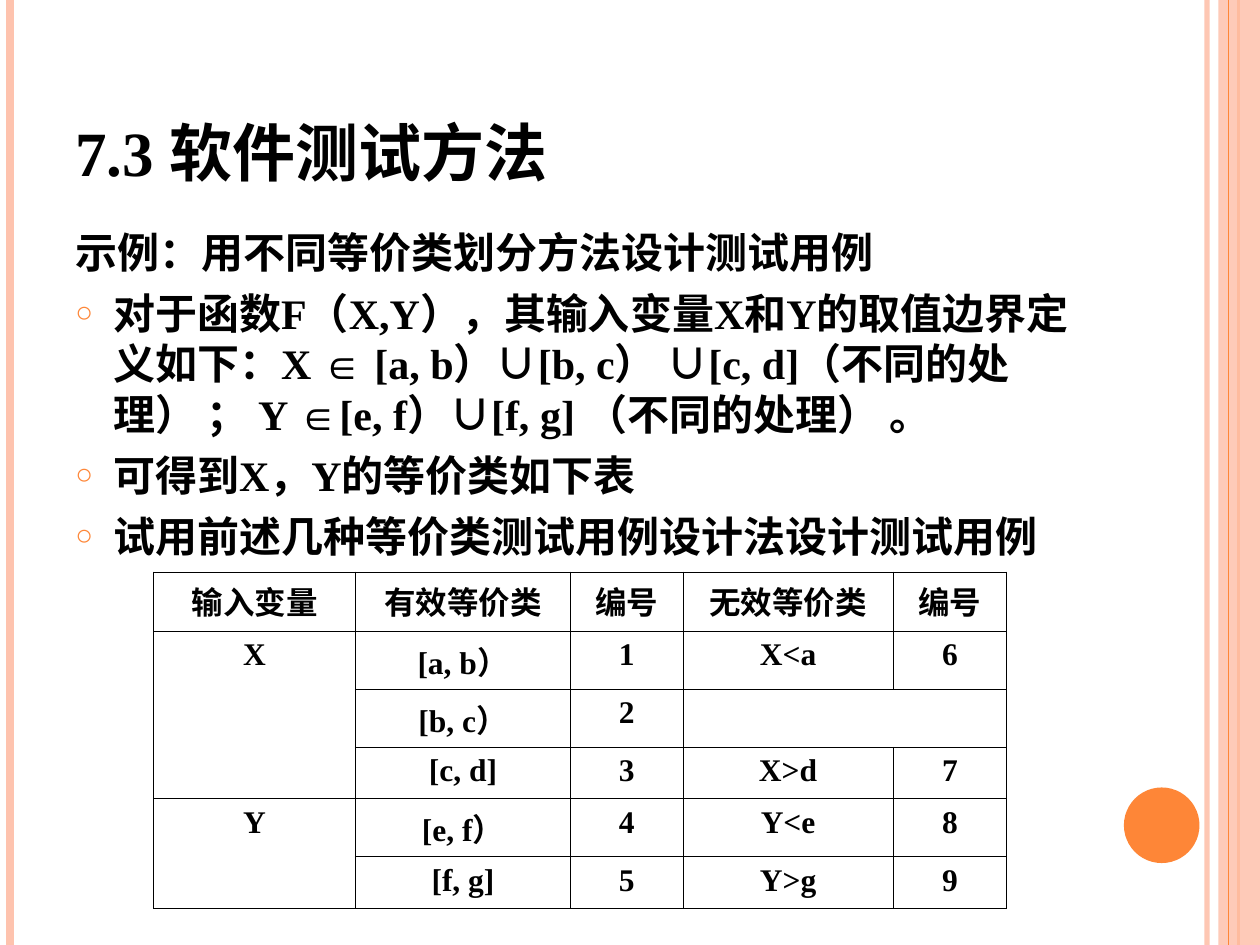
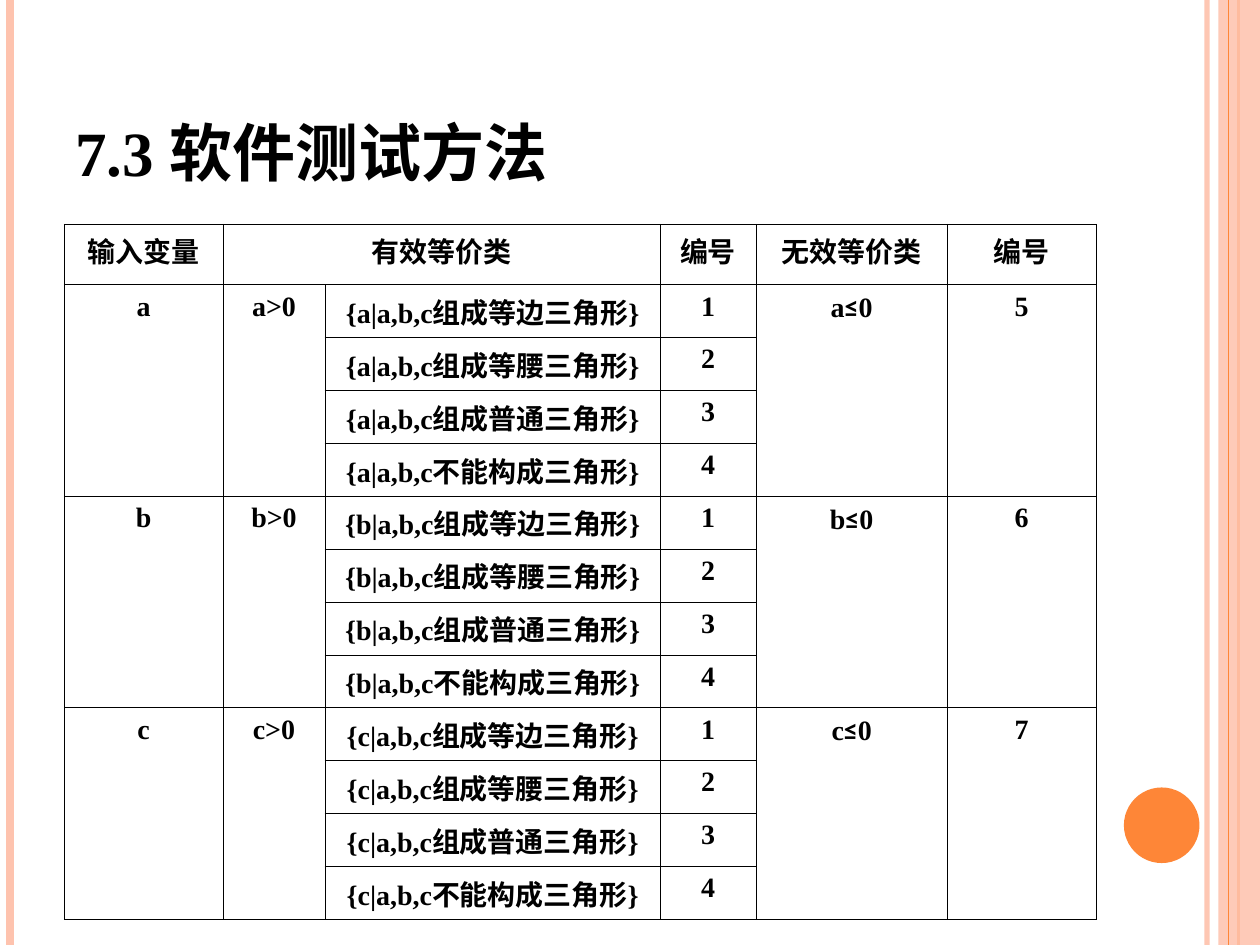
"""Builds two slides on equivalence class test design."""
from dataclasses import dataclass

from lxml import etree
from pptx import Presentation
from pptx.dml.color import RGBColor
from pptx.enum.shapes import MSO_CONNECTOR, MSO_SHAPE
from pptx.enum.text import MSO_ANCHOR, PP_ALIGN
from pptx.oxml.ns import qn
from pptx.util import Inches, Pt

STRAIGHT = MSO_CONNECTOR.STRAIGHT
RECTANGLE = MSO_SHAPE.RECTANGLE
OVAL = MSO_SHAPE.OVAL
TOP = MSO_ANCHOR.TOP
BOTTOM = MSO_ANCHOR.BOTTOM
CENTER = PP_ALIGN.CENTER


@dataclass(frozen=True)
class Theme:
    """Colours, fonts and type sizes shared by the slides."""
    accent: str = "FE8637"
    soft: str = "FEC3AE"
    ink: str = "000000"
    paper: str = "FFFFFF"
    font: str = "Times New Roman"
    symbol_font: str = "Calibri"
    title_size: int = 36
    body_size: int = 24
    range_size: int = 18
    triangle_size: int = 16
    border: float = 0.45


THEME = Theme()
HEIGHT = 7.5
TITLE = "7.3 软件测试方法"
LEAD = "示例：用不同等价类划分方法设计测试用例"
BULLETS = [
    "对于函数F（X,Y），其输入变量X和Y的取值边界定义如下：X ∈ [a, b）∪[b, c） ∪[c, d]"
    "（不同的处理） ； Y ∈[e, f）∪[f, g] （不同的处理） 。",
    "可得到X，Y的等价类如下表",
    "试用前述几种等价类测试用例设计法设计测试用例",
]
RANGE_ROWS = [
    ["输入变量", "有效等价类", "编号", "无效等价类", "编号"],
    ["X", "[a, b）", "1", "X<a", "6"],
    ["", "[b, c）", "2", "", ""],
    ["", "[c, d]", "3", "X>d", "7"],
    ["Y", "[e, f）", "4", "Y<e", "8"],
    ["", "[f, g]", "5", "Y>g", "9"],
]
TRIANGLE_HEADER = ["输入变量", "有效等价类", "", "编号", "无效等价类", "编号"]
TRIANGLE_KINDS = ["组成等边三角形", "组成等腰三角形", "组成普通三角形", "不能构成三角形"]


def set_alpha(properties, percent):
    """Make the first solid colour of a shape partly transparent."""
    if percent < 100:
        tint = next(properties.iter(qn("a:srgbClr")))
        etree.SubElement(tint, qn("a:alpha"), val=str(percent * 1000))


def add_rule(page, x, color, width, alpha=100):
    """Draw a vertical line over the full slide height."""
    rule = page.shapes.add_connector(
        STRAIGHT, Inches(x), Inches(0), Inches(x), Inches(HEIGHT))
    rule.line.color.rgb = RGBColor.from_string(color)
    rule.line.width = Pt(width)
    properties = rule._element.spPr
    set_alpha(properties, alpha)
    etree.SubElement(properties, qn("a:effectLst"))


def add_plain_shape(page, kind, area, color, alpha=100):
    """Add a filled shape without outline or shadow."""
    shape = page.shapes.add_shape(kind, *map(Inches, area))
    shape.shadow.inherit = False
    shape.line.fill.background()
    shape.fill.solid()
    shape.fill.fore_color.rgb = RGBColor.from_string(color)
    set_alpha(shape._element.spPr, alpha)


def add_span(para, text, size, font=THEME.font):
    """Add one bold run of text."""
    span = para.add_run()
    span.text = text
    span.font.name = font
    span.font.size = Pt(size)
    span.font.bold = True
    span.font.color.rgb = RGBColor.from_string(THEME.ink)


def add_box(page, area, anchor):
    """Add a wrapping text box and return its text frame."""
    frame = page.shapes.add_textbox(*map(Inches, area)).text_frame
    frame.word_wrap = True
    frame.vertical_anchor = anchor
    return frame


def add_bullet(para):
    """Give a paragraph the small ring bullet."""
    properties = para._p.get_or_add_pPr()
    color = etree.SubElement(properties, qn("a:buClr"))
    etree.SubElement(color, qn("a:srgbClr"), val=THEME.accent)
    etree.SubElement(properties, qn("a:buSzPct"), val="70000")
    etree.SubElement(properties, qn("a:buFont"), typeface=THEME.font)
    etree.SubElement(properties, qn("a:buChar"), char="○")


def add_body(page, lead, bullets):
    """Add the lead line and the bulleted statements."""
    frame = add_box(page, (0.5, 1.75, 8.17, 5.33), TOP)
    for index, text in enumerate([lead, *bullets]):
        para = frame.add_paragraph() if index else frame.paragraphs[0]
        properties = para._p.get_or_add_pPr()
        properties.set("marL", str(Inches(0.3)))
        properties.set("indent", str(-Inches(0.3)))
        if index:
            para.space_before = Pt(6)
            add_bullet(para)
        add_span(para, text, THEME.body_size)


def style_cell(cell):
    """Fill a cell and draw its four borders."""
    cell.fill.solid()
    cell.fill.fore_color.rgb = RGBColor.from_string(THEME.paper)
    properties = cell._tc.get_or_add_tcPr()
    for index, side in enumerate(("lnL", "lnR", "lnT", "lnB")):
        line = etree.Element(qn(f"a:{side}"), w=str(Pt(THEME.border)))
        fill = etree.SubElement(line, qn("a:solidFill"))
        etree.SubElement(fill, qn("a:srgbClr"), val=THEME.ink)
        properties.insert(index, line)


def fill_cell(cell, text, size):
    """Write centred text, setting the comparison sign in its own font."""
    para = cell.text_frame.paragraphs[0]
    para.alignment = CENTER
    before, sign, after = text.partition("≤")
    for part, font in ((before, THEME.font), (sign, THEME.symbol_font), (after, THEME.font)):
        if part:
            add_span(para, part, size, font)


def add_grid(page, corner, widths, heights, rows, merges, size):
    """Add a bordered table with merged cells given by their corners."""
    area = (*corner, sum(widths), sum(heights))
    table = page.shapes.add_table(len(rows), len(widths), *map(Inches, area)).table
    table.first_row = False
    table.horz_banding = False
    for column, width in zip(table.columns, widths):
        column.width = Inches(width)
    for line, height in zip(table.rows, heights):
        line.height = Inches(height)
    for row, texts in enumerate(rows):
        for column, text in enumerate(texts):
            cell = table.cell(row, column)
            style_cell(cell)
            fill_cell(cell, text, size)
    for start, end in merges:
        table.cell(*start).merge(table.cell(*end))


def triangle_rows():
    """List the rows for the three sides of a triangle."""
    rows = [TRIANGLE_HEADER]
    for number, side in enumerate("abc", 5):
        for index, kind in enumerate(TRIANGLE_KINDS):
            condition = f"{{{side}|a,b,c{kind}}}"
            first = index == 0
            rows.append([
                side if first else "", f"{side}>0" if first else "",
                condition, str(index + 1),
                f"{side}≤0" if first else "", str(number) if first else ""])
    return rows


def add_page(deck):
    """Add a slide with the shared edge bands, disc and title."""
    page = deck.slides.add_slide(deck.slide_layouts[6])
    add_rule(page, 9.58, THEME.soft, 3, 93)
    add_rule(page, 0.08, THEME.soft, 4.5)
    add_rule(page, 9.83, THEME.accent, 1.5)
    add_plain_shape(page, RECTANGLE, (9.67, 0, 0.33, HEIGHT), THEME.soft, 87)
    add_rule(page, 9.75, THEME.accent, 0.75)
    add_plain_shape(page, OVAL, (8.92, 6.25, 0.6, 0.6), THEME.accent)
    frame = add_box(page, (0.5, 0.3, 8.17, 1.25), BOTTOM)
    add_span(frame.paragraphs[0], TITLE, THEME.title_size)
    return page


def main():
    """Build and save the deck."""
    deck = Presentation()
    deck.slide_width = Inches(10)
    deck.slide_height = Inches(HEIGHT)

    page = add_page(deck)
    add_body(page, LEAD, BULLETS)
    range_merges = [((1, 0), (3, 0)), ((2, 3), (2, 4)), ((4, 0), (5, 0))]
    add_grid(page, (1.22, 4.54), [1.6, 1.71, 0.89, 1.67, 0.9],
             [0.47, 0.46, 0.46, 0.41, 0.46, 0.41],
             RANGE_ROWS, range_merges, THEME.range_size)

    page = add_page(deck)
    kinds = len(TRIANGLE_KINDS)
    triangle_merges = [((0, 1), (0, 2))] + [
        ((top, column), (top + kinds - 1, column))
        for top in range(1, 3 * kinds + 1, kinds) for column in (0, 1, 4, 5)]
    add_grid(page, (0.51, 1.78), [1.26, 0.81, 2.66, 0.76, 1.52, 1.18],
             [0.48] + [0.42] * 12, triangle_rows(), triangle_merges, THEME.triangle_size)

    deck.save("out.pptx")


if __name__ == "__main__":
    main()
